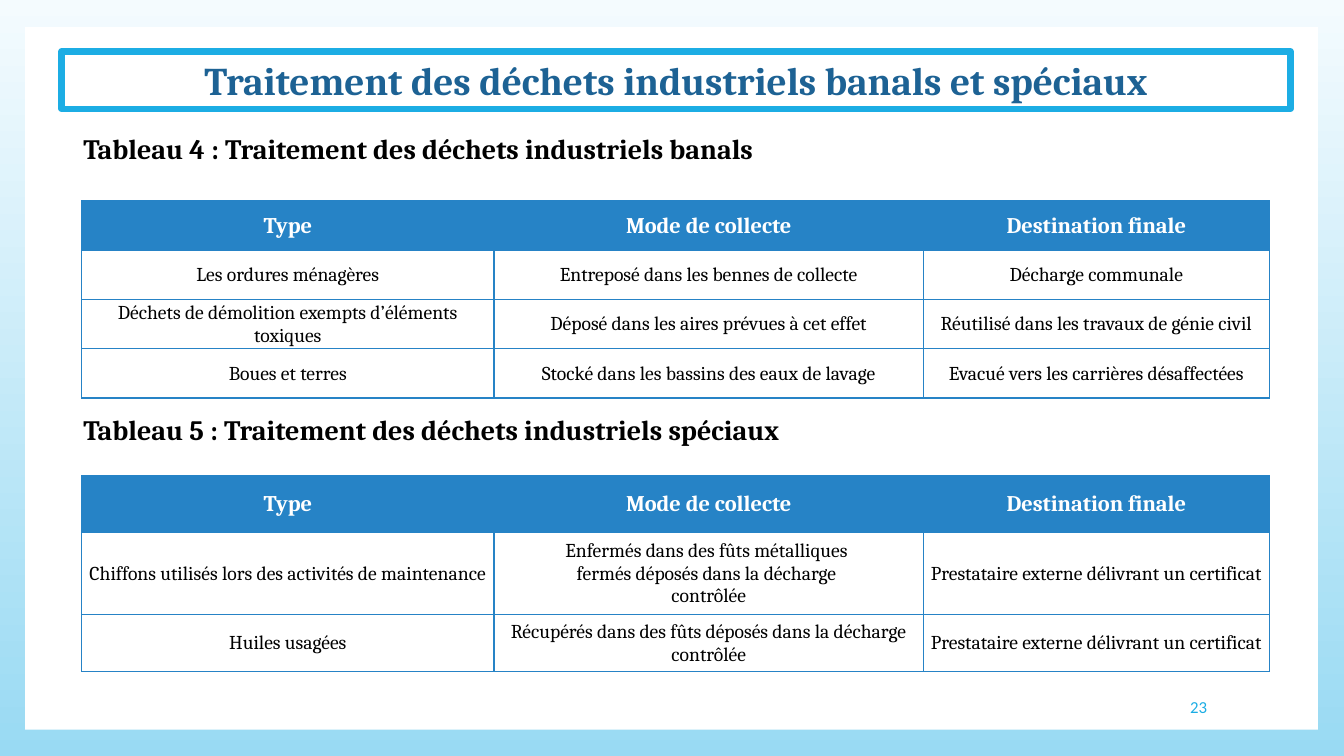
from lxml import etree
from pptx import Presentation
from pptx.dml.color import RGBColor
from pptx.enum import shapes, text
from pptx.oxml import ns
from pptx.util import Inches, Pt

COLORS = {
    "sky_top": "F4FBFE",
    "sky_bottom": "99DAF3",
    "white": "FFFFFF",
    "black": "000000",
    "accent": "1CADE4",
    "title": "1D6294",
    "table": "2683C6",
}
COLUMN_WIDTHS = (4.09, 4.26, 3.43)
HEADERS = ("Type", "Mode de collecte", "Destination finale")
COMMON_WASTE = (
    HEADERS,
    ("Les ordures ménagères", "Entreposé dans les bennes de collecte",
     "Décharge communale"),
    ("Déchets de démolition exempts d’éléments toxiques",
     "Déposé dans les aires prévues à cet effet",
     "Réutilisé dans les travaux de génie civil"),
    ("Boues et terres", "Stocké dans les bassins des eaux de lavage",
     "Evacué vers les carrières désaffectées"),
)
SPECIAL_WASTE = (
    HEADERS,
    ("Chiffons utilisés lors des activités de maintenance",
     "Enfermés dans des fûts métalliques \nfermés déposés dans la décharge \ncontrôlée",
     "Prestataire externe délivrant un certificat"),
    ("Huiles usagées",
     "Récupérés dans des fûts déposés dans la décharge contrôlée",
     "Prestataire externe délivrant un certificat"),
)


def rgb(name):
    return RGBColor.from_string(COLORS[name])


def fill_solid(item, color):
    item.fill.solid()
    item.fill.fore_color.rgb = rgb(color)


def write(tf, content, size, color, bold=False, font="Cambria",
          align=text.PP_ALIGN.CENTER):
    """Write one paragraph, with a line break at each newline."""
    p = tf.paragraphs[0]
    p.alignment = align
    for i, line in enumerate(content.split("\n")):
        if i:
            p.add_line_break()
        r = p.add_run()
        r.text = line
        r.font.name = font
        r.font.size = Pt(size)
        r.font.bold = bold
        r.font.color.rgb = rgb(color)


def paint_background(s):
    fill = s.background.fill
    fill.gradient()
    fill.gradient_angle = 270
    for stop, color in zip(fill.gradient_stops, ("sky_top", "sky_bottom")):
        stop.color.rgb = rgb(color)


def add_panel(s):
    sp = s.shapes.add_shape(shapes.MSO_SHAPE.RECTANGLE, Inches(0.25),
                            Inches(0.27), Inches(12.82), Inches(6.97))
    sp.shadow.inherit = False
    fill_solid(sp, "white")
    sp.line.fill.background()


def set_title(s, content):
    sp = s.shapes.title
    sp.left, sp.top = Inches(0.61), Inches(0.51)
    sp.width, sp.height = Inches(12.19), Inches(0.57)
    fill_solid(sp, "white")
    sp.line.color.rgb = rgb("accent")
    sp.line.width = Pt(4.5)
    tf = sp.text_frame
    tf.auto_size = text.MSO_AUTO_SIZE.NONE
    tf.vertical_anchor = text.MSO_ANCHOR.MIDDLE
    write(tf, content, 28, "title", bold=True)


def add_text(s, left, top, width, height, content, size, color, **style):
    sp = s.shapes.add_textbox(Inches(left), Inches(top), Inches(width), Inches(height))
    tf = sp.text_frame
    tf.word_wrap = True
    tf.vertical_anchor = text.MSO_ANCHOR.MIDDLE
    write(tf, content, size, color, **style)


def add_caption(s, top, content):
    add_text(s, 0.73, top, 10.8, 0.44, content, 20, "black", bold=True,
             align=text.PP_ALIGN.LEFT)


def set_borders(cell):
    tc_pr = cell._tc.get_or_add_tcPr()
    for side in ("a:lnL", "a:lnR", "a:lnT", "a:lnB"):
        ln = etree.SubElement(tc_pr, ns.qn(side), w=str(Pt(1)))
        fill = etree.SubElement(ln, ns.qn("a:solidFill"))
        etree.SubElement(fill, ns.qn("a:srgbClr"), val=COLORS["table"])


def format_cell(cell, content, is_header):
    cell.margin_left = cell.margin_right = cell.margin_top = Inches(0.01)
    cell.margin_bottom = 0
    cell.vertical_anchor = text.MSO_ANCHOR.MIDDLE
    set_borders(cell)
    fill_solid(cell, "table" if is_header else "white")
    if is_header:
        write(cell.text_frame, content, 16, "white", bold=True)
    else:
        write(cell.text_frame, content, 14, "black")


def add_waste_table(s, top, row_heights, rows):
    frame = s.shapes.add_table(len(rows), len(COLUMN_WIDTHS), Inches(0.81),
                               Inches(top), Inches(sum(COLUMN_WIDTHS)),
                               Inches(sum(row_heights)))
    table = frame.table
    table.horz_banding = False
    for column, width in zip(table.columns, COLUMN_WIDTHS):
        column.width = Inches(width)
    for i, (height, row) in enumerate(zip(row_heights, rows)):
        table.rows[i].height = Inches(height)
        for j, content in enumerate(row):
            format_cell(table.cell(i, j), content, is_header=i == 0)


def main():
    prs = Presentation()
    prs.slide_width, prs.slide_height = Inches(13.33), Inches(7.5)
    s = prs.slides.add_slide(prs.slide_layouts[5])
    paint_background(s)
    add_panel(s)
    # The title comes after the panel in the stacking order.
    s.shapes._spTree.append(s.shapes.title._element)
    set_title(s, "Traitement des déchets industriels banals et spéciaux")
    add_caption(s, 1.25, "Tableau 4 : Traitement des déchets industriels banals")
    add_waste_table(s, 1.99, (0.49,) * 4, COMMON_WASTE)
    add_caption(s, 4.04, "Tableau 5 : Traitement des déchets industriels spéciaux")
    add_waste_table(s, 4.72, (0.56, 0.82, 0.56), SPECIAL_WASTE)
    add_text(s, 10.2, 6.81, 1.87, 0.4, "23", 12, "accent", font="Calibri",
             align=text.PP_ALIGN.RIGHT)
    prs.save("out.pptx")


if __name__ == "__main__":
    main()
